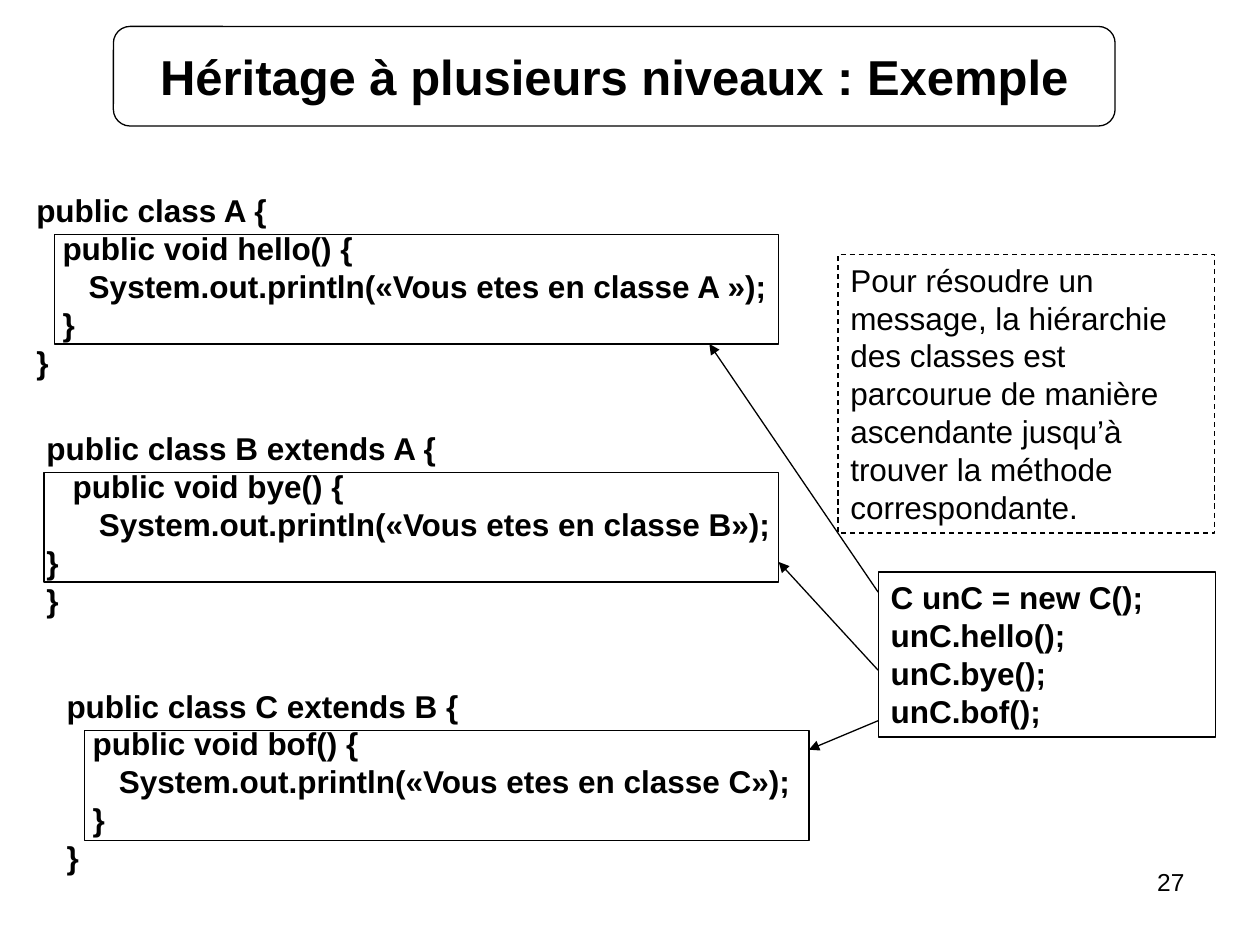
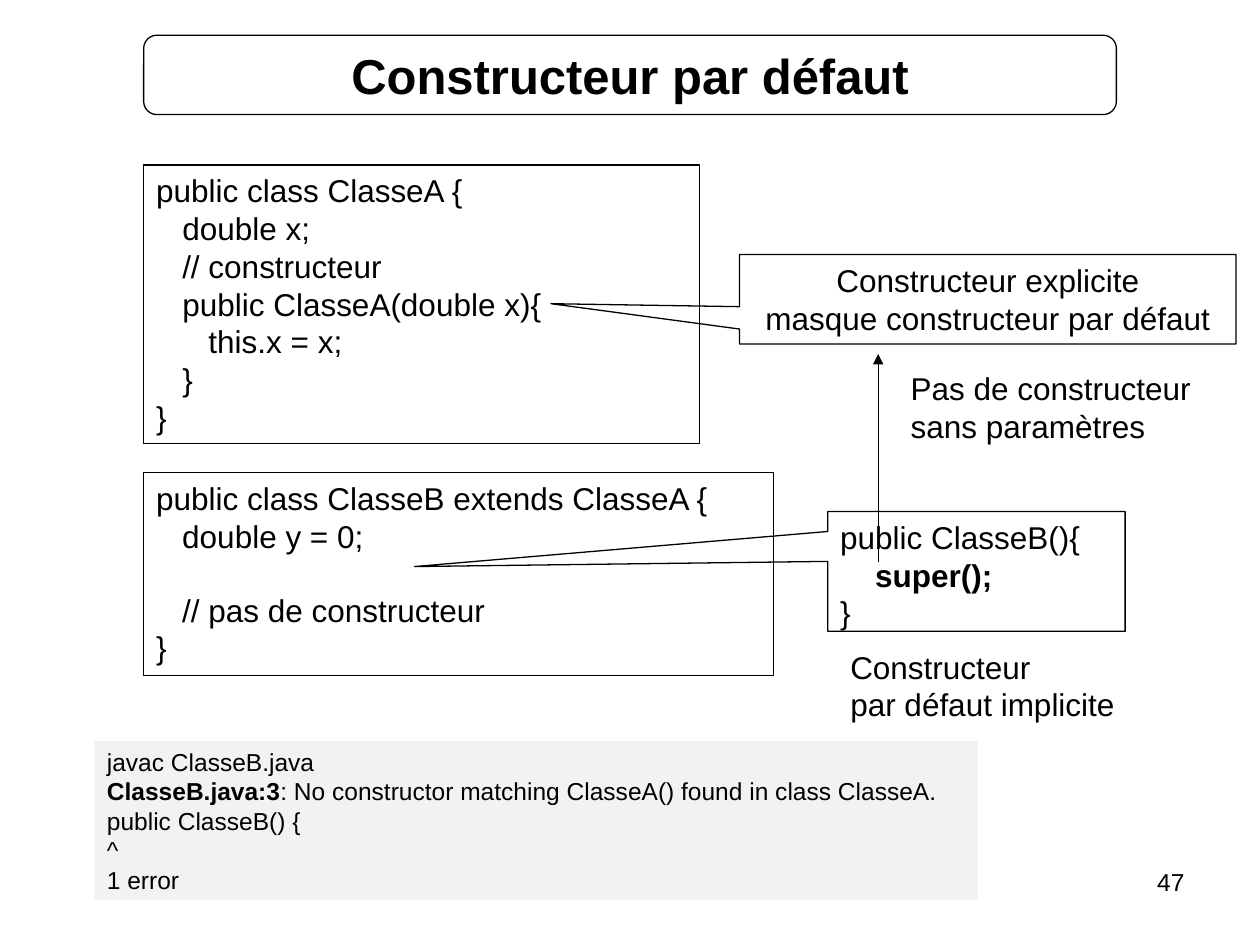
from lxml import etree
from pptx import Presentation
from pptx.dml.color import RGBColor
from pptx.enum.dml import MSO_LINE_DASH_STYLE as Dash
from pptx.enum.shapes import MSO_CONNECTOR, MSO_SHAPE as Shape
from pptx.enum.text import MSO_ANCHOR as Anchor, MSO_AUTO_SIZE as Fit, PP_ALIGN as Align
from pptx.oxml.ns import qn
from pptx.util import Inches, Pt

# Shared style
INK = "000000"
CONSOLE_GREY, CONSOLE_ALPHA = "808080", 10
LINE_WIDTH = Pt(0.75)
BODY, SMALL, TITLE = 18, 14, 28
LINE_HEIGHT = 1.15
NUMBER_BOX = (7.17, 6.83, 2.33, 0.52)


def colour(hex_value):
    return RGBColor.from_string(hex_value)


def set_all(target, values):
    for name, value in values.items():
        setattr(target, name, value)


def draw_line(line, dash=None):
    line.color.rgb = colour(INK)
    line.width = LINE_WIDTH
    if dash:
        line.dash_style = dash


def write(box, lines, size=BODY, bold=False, align=Align.LEFT, **frame_format):
    """Write one paragraph a line; ** switches bold, an empty line is a gap."""
    frame = box.text_frame
    set_all(frame, {"word_wrap": True, "vertical_anchor": Anchor.TOP,
                    "auto_size": Fit.NONE, **frame_format})
    gap, paragraph = 0, None
    for line in lines:
        if not line:
            gap += size * LINE_HEIGHT
            continue
        paragraph = frame.add_paragraph() if paragraph else frame.paragraphs[0]
        paragraph.alignment = align
        if gap:
            paragraph.space_before, gap = Pt(gap), 0
        for index, part in enumerate(line.split("**")):
            if part:
                run = paragraph.add_run()
                run.text = part
                set_all(run.font, {"name": "Arial", "size": Pt(size),
                                   "bold": bold or index % 2 == 1})
                run.font.color.rgb = colour(INK)


def add_text(slide, place, lines, **text_format):
    box = slide.shapes.add_textbox(*map(Inches, place))
    write(box, lines, **text_format)


def add_outline(slide, place, lines=(), kind=Shape.RECTANGLE, adjust=(), dash=None,
                **text_format):
    box = slide.shapes.add_shape(kind, *map(Inches, place))
    box.shadow.inherit = False
    box.fill.background()
    draw_line(box.line, dash)
    for index, value in enumerate(adjust):
        box.adjustments[index] = value
    if lines:
        write(box, lines, **text_format)


def add_callout(slide, place, tip, lines, align=Align.LEFT):
    add_outline(slide, place, lines, Shape.RECTANGULAR_CALLOUT, tip, align=align)


def add_console(slide, place, lines):
    box = slide.shapes.add_shape(Shape.RECTANGLE, *map(Inches, place))
    box.shadow.inherit = False
    box.line.fill.background()
    box.fill.solid()
    box.fill.fore_color.rgb = colour(CONSOLE_GREY)
    tint = box.fill._xPr.find(".//" + qn("a:srgbClr"))
    etree.SubElement(tint, qn("a:alpha"), val=str(CONSOLE_ALPHA * 1000))
    write(box, lines, size=SMALL, auto_size=Fit.SHAPE_TO_FIT_TEXT)


def add_arrow(slide, start, end):
    arrow = slide.shapes.add_connector(MSO_CONNECTOR.STRAIGHT, *map(Inches, start + end))
    draw_line(arrow.line)
    etree.SubElement(arrow.line._get_or_add_ln(), qn("a:tailEnd"), type="triangle")
    etree.SubElement(arrow._element.spPr, qn("a:effectLst"))


def add_page(deck, title, title_place, number):
    slide = deck.slides.add_slide(deck.slide_layouts[6])
    add_outline(slide, title_place, [title], Shape.ROUNDED_RECTANGLE, size=TITLE, bold=True,
                align=Align.CENTER, vertical_anchor=Anchor.MIDDLE, word_wrap=False)
    add_text(slide, NUMBER_BOX, [number], size=SMALL, align=Align.RIGHT)
    return slide


def inheritance_page(deck):
    slide = add_page(deck, "Héritage à plusieurs niveaux : Exemple",
                     (0.9, 0.21, 7.95, 0.79), "27")

    # Class sources, then a frame around each method
    classes = [
        ("A", "hello", "A ", "   }", (0.19, 1.47, 6.06, 1.6), (0.43, 1.86, 5.75, 0.87)),
        ("B extends A", "bye", "B", "}", (0.27, 3.36, 5.98, 1.6), (0.35, 3.75, 5.83, 0.87)),
        ("C extends B", "bof", "C", "   }", (0.43, 5.4, 6.14, 1.6), (0.67, 5.8, 5.75, 0.87)),
    ]
    for heading, method, letter, method_end, code_place, frame_place in classes:
        code = [f"public class {heading} {{",
                f"   public void {method}() {{",
                f"      System.out.println(«Vous etes en classe {letter}»);",
                method_end,
                "}"]
        add_text(slide, code_place, code, bold=True, auto_size=Fit.SHAPE_TO_FIT_TEXT)
        add_outline(slide, frame_place)

    # Rule and calls
    add_outline(slide, (6.65, 2.02, 2.99, 2.21),
                ["Pour résoudre un message, la hiérarchie",
                 "des classes est parcourue de manière",
                 "ascendante jusqu’à trouver la méthode",
                 "correspondante."],
                dash=Dash.DASH, auto_size=Fit.SHAPE_TO_FIT_TEXT)
    add_outline(slide, (6.97, 4.54, 2.68, 1.31),
                ["C unC = new C();", "unC.hello();", "unC.bye();", "unC.bof();"],
                bold=True, auto_size=Fit.SHAPE_TO_FIT_TEXT)

    # From each call to the method it reaches
    for call_y, method_point in [(5.72, (6.42, 5.95)), (5.32, (6.18, 4.46)),
                                 (4.7, (5.63, 2.73))]:
        add_arrow(slide, (6.97, call_y), method_point)


def constructor_page(deck):
    slide = add_page(deck, "Constructeur par défaut", (1.14, 0.28, 7.72, 0.63), "47")

    # Class sources
    class_a = ["public class ClasseA {",
               "   double x;",
               "   // constructeur",
               "   public ClasseA(double x){",
               "      this.x = x;",
               "   }",
               "}"]
    class_b = ["public class ClasseB extends ClasseA {",
               "   double y = 0;",
               "",
               "   // pas de constructeur",
               "}"]
    for place, code in [((1.14, 1.31, 4.41, 2.21), class_a),
                        ((1.14, 3.75, 5, 1.61), class_b)]:
        add_outline(slide, place, code, auto_size=Fit.SHAPE_TO_FIT_TEXT)

    # Callouts and their captions
    add_callout(slide, (6.57, 4.06, 2.36, 0.95), (-1.89, -0.04),
                ["public ClasseB(){", "    **super();**", "}"])
    add_callout(slide, (5.87, 2.02, 3.94, 0.71), (-0.88, 0.05),
                ["Constructeur explicite", "masque constructeur par défaut"], Align.CENTER)
    add_arrow(slide, (6.97, 4.46), (6.97, 2.81))
    for place, caption in [
            ((7.13, 2.88, 2.44, 0.7), ["Pas de constructeur", "sans paramètres"]),
            ((6.65, 5.09, 2.36, 0.7), ["Constructeur", "par défaut implicite"])]:
        add_text(slide, place, caption, auto_size=Fit.SHAPE_TO_FIT_TEXT)

    # Compiler output
    add_console(slide, (0.75, 5.88, 7.01, 1.26),
                ["javac ClasseB.java",
                 "**ClasseB.java:3**: No constructor matching ClasseA() found in class ClasseA.",
                 "public ClasseB() {",
                 "^",
                 "1 error"])


def main():
    deck = Presentation()
    set_all(deck, {"slide_width": Inches(10), "slide_height": Inches(7.5)})
    inheritance_page(deck)
    constructor_page(deck)
    deck.save("out.pptx")


if __name__ == "__main__":
    main()
